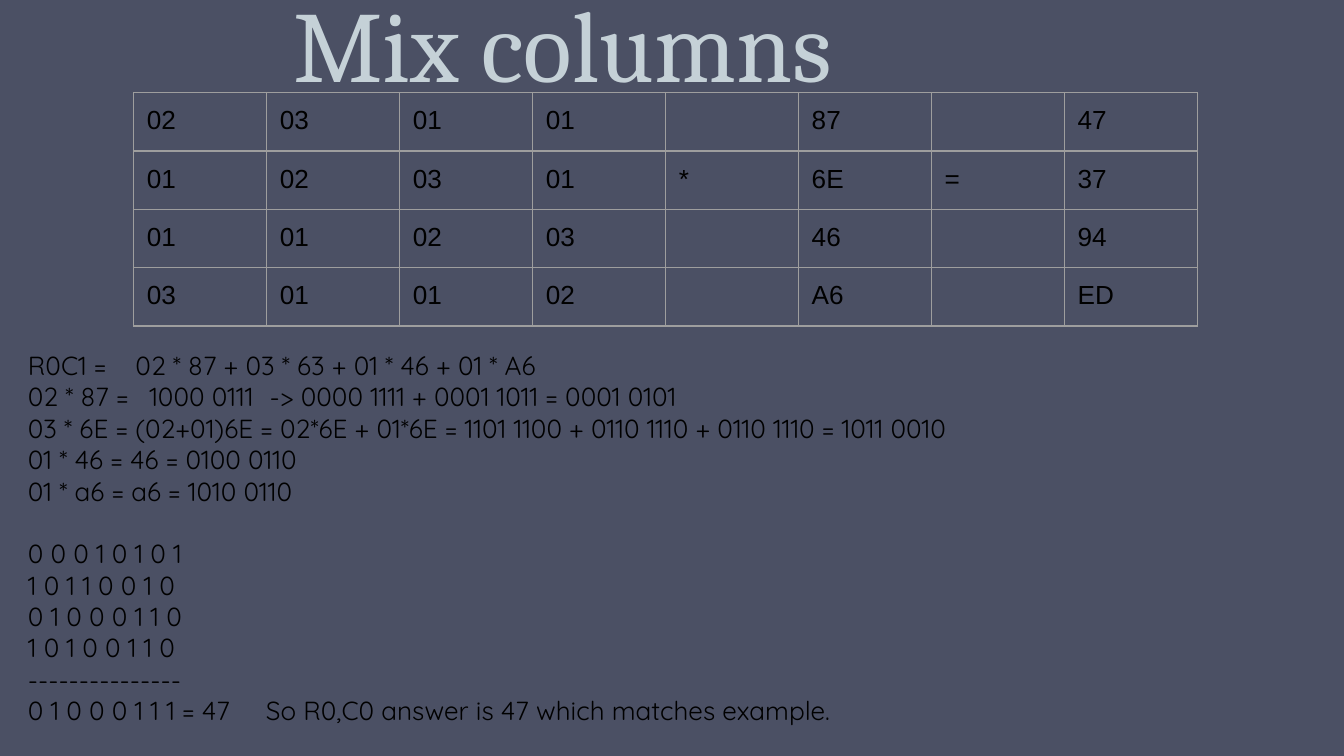
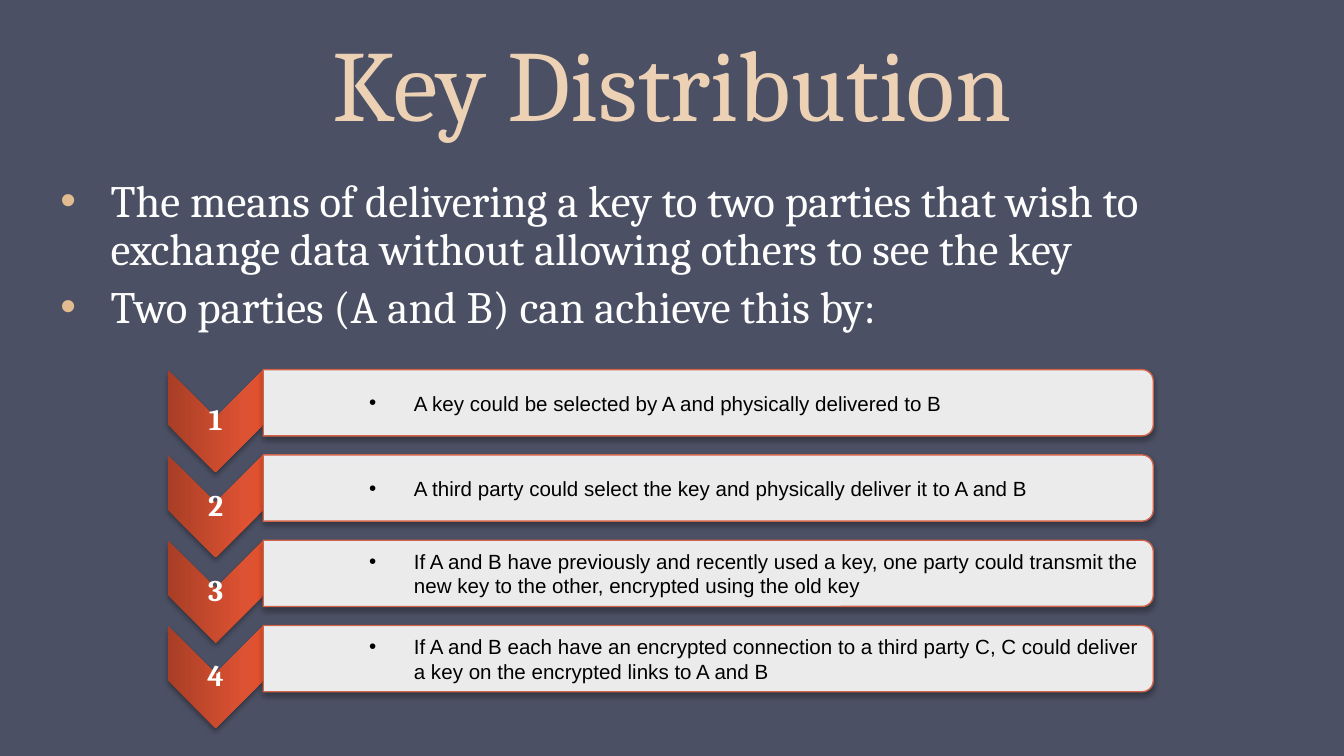
from dataclasses import dataclass
from typing import Any, Optional

from lxml import etree
from pptx import Presentation
from pptx import util as u
from pptx.dml import color
from pptx.enum import shapes, text
from pptx.oxml import ns

SLATE, MIST, SAND, TAN = "4B5064", "C5D1D7", "ECD1B5", "E3BB91"
BLACK, WHITE, IVORY, GRID, RUST = "000000", "FFFFFF", "FEFEFE", "9E9E9E", "D16349"
CHEVRON_STOPS = ((0, "A83E25"), (80, "DD5232"), (100, "E2512E"))
PITCH = 45.7


@dataclass(frozen=True)
class Style:
    """Type settings of a paragraph."""

    font: str
    size: float
    colour: str
    bold: bool = False
    centred: bool = False
    line: Optional[float] = None
    bullet: Optional[str] = None
    indent: float = 0
    hanging: float = 0


@dataclass(frozen=True)
class Frame:
    """Place of an element, in points."""

    left: float
    top: float
    width: float
    height: float

    def lengths(self) -> list[u.Length]:
        """Return left, top, width and height as lengths."""
        return [u.Pt(v) for v in (self.left, self.top, self.width, self.height)]


@dataclass(frozen=True)
class Line:
    """One paragraph with the space before it and its tab stops."""

    words: str
    before: float = 0
    tabs: tuple[float, ...] = ()


@dataclass(frozen=True)
class Step:
    """A numbered way of delivering the key."""

    number: int
    words: str


BODY_INSETS = (7.2, 3.6, 7.2, 3.6)
WIDE_INSETS = (7.2, 7.2, 7.2, 7.2)
CELL = Style("Arial", 14, BLACK)
WORKING = Style("Quicksand", 14, BLACK)
POINT = Style("Cambria", 24, IVORY, line=0.9, bullet=TAN, indent=27, hanging=27)
NUMBER = Style("Cambria", 16, WHITE, bold=True, centred=True, line=0.9)
STEP = Style("Arial", 11, BLACK, bullet=BLACK, indent=72, hanging=24)

MATRIX = (
    ("02", "03", "01", "01", "", "87", "", "47"),
    ("01", "02", "03", "01", "*", "6E", "=", "37"),
    ("01", "01", "02", "03", "", "46", "", "94"),
    ("03", "01", "01", "02", "", "A6", "", "ED"),
)
WORKINGS = [
    Line("R0C1 =\t02 * 87 + 03 * 63 + 01 * 46 + 01 * A6", tabs=(57.6,)),
    Line("02 * 87 =\t1000 0111\t-> 0000 1111 + 0001 1011 = 0001 0101", tabs=(65, 129.5)),
    Line("03 * 6E = (02+01)6E = 02*6E + 01*6E = 1101 1100 + 0110 1110 + 0110 1110 = 1011 0010"),
    Line("01 * 46 = 46 = 0100 0110"),
    Line("01 * a6 = a6 = 1010 0110"),
    Line("0 0 0 1 0 1 0 1", before=16.8),
    Line("1 0 1 1 0 0 1 0"),
    Line("0 1 0 0 0 1 1 0"),
    Line("1 0 1 0 0 1 1 0"),
    Line("---------------"),
    Line("0 1 0 0 0 1 1 1 = 47\tSo R0,C0 answer is 47 which matches example.", tabs=(127.5,)),
]
POINTS = [
    Line("The means of delivering a key to two parties that wish to exchange data "
         "without allowing others to see the key"),
    Line("Two parties (A and B) can achieve this by:", before=4.8),
]
STEPS = [
    Step(1, "A key could be selected by A and physically delivered to B"),
    Step(2, "A third party could select the key and physically deliver it to A and B"),
    Step(3, "If A and B have previously and recently used a key, one party could transmit "
            "the new key to the other, encrypted using the old key"),
    Step(4, "If A and B each have an encrypted connection to a third party C, C could deliver "
            "a key on the encrypted links to A and B"),
]


def rgb(value: str) -> color.RGBColor:
    """Turn a hex string into a colour."""
    return color.RGBColor.from_string(value)


def add_xml(parent: Any, tag: str, **attributes: Any) -> Any:
    """Append a DrawingML element and return it."""
    values = {key: str(value) for key, value in attributes.items()}
    return etree.SubElement(parent, ns.qn(f"a:{tag}"), values)


def centred(x: float, y: float, width: float, height: float) -> Frame:
    """Return a frame around a centre."""
    return Frame(x - width / 2, y - height / 2, width, height)


def write(para: Any, line: Line, style: Style) -> None:
    """Fill a paragraph with one styled run."""
    if style.centred:
        para.alignment = text.PP_ALIGN.CENTER
    if style.line:
        para.line_spacing = style.line
    if line.before:
        para.space_before = u.Pt(line.before)
    properties = para._p.get_or_add_pPr()
    if style.bullet:
        properties.set("marL", str(u.Pt(style.indent)))
        properties.set("indent", str(-u.Pt(style.hanging)))
        add_xml(add_xml(properties, "buClr"), "srgbClr", val=style.bullet)
        add_xml(properties, "buFont", typeface="Arial")
        add_xml(properties, "buChar", char="•")
    if line.tabs:
        stops = add_xml(properties, "tabLst")
        for stop in line.tabs:
            add_xml(stops, "tab", pos=u.Pt(stop), algn="l")
    span = para.add_run()
    span.text = line.words
    span.font.name = style.font
    span.font.size = u.Pt(style.size)
    span.font.bold = style.bold
    span.font.color.rgb = rgb(style.colour)


def add_text(page: Any, frame: Frame, lines: list[Line], style: Style,
             insets: tuple[float, ...], anchor: Any = text.MSO_ANCHOR.TOP) -> None:
    """Add a wrapping text box."""
    body = page.shapes.add_textbox(*frame.lengths()).text_frame
    body.word_wrap = True
    body.vertical_anchor = anchor
    body.margin_left, body.margin_top, body.margin_right, body.margin_bottom = map(u.Pt, insets)
    for index, line in enumerate(lines):
        write(body.add_paragraph() if index else body.paragraphs[0], line, style)


def add_page(deck: Any, title: str, frame: Frame, colour: str) -> Any:
    """Add a slate page with its large title."""
    page = deck.slides.add_slide(deck.slide_layouts[6])
    page.background.fill.solid()
    page.background.fill.fore_color.rgb = rgb(SLATE)
    style = Style("Cambria", 54, colour, centred=True, line=1.07)
    add_text(page, frame, [Line(title)], style, BODY_INSETS, text.MSO_ANCHOR.BOTTOM)
    return page


def add_matrix(page: Any, frame: Frame) -> None:
    """Add the matrix product as a ruled table."""
    rows, columns = len(MATRIX), len(MATRIX[0])
    table = page.shapes.add_table(rows, columns, *frame.lengths()).table
    table.first_row = table.horz_banding = False
    for row, values in enumerate(MATRIX):
        for column, value in enumerate(values):
            cell = table.cell(row, column)
            cell.margin_left = cell.margin_right = u.Pt(7.2)
            cell.margin_top = cell.margin_bottom = u.Pt(7.2)
            for side in "LRTB":
                border = add_xml(cell._tc.get_or_add_tcPr(), f"ln{side}", w=u.Pt(0.75))
                add_xml(add_xml(border, "solidFill"), "srgbClr", val=GRID)
            cell.fill.background()
            para = cell.text_frame.paragraphs[0]
            if value:
                write(para, Line(value), CELL)
            else:
                add_xml(para._p, "endParaRPr", sz=CELL.size * 100)


def add_turned(page: Any, kind: Any, frame: Frame, adjustments: tuple[float, ...]) -> Any:
    """Add a shape turned by a quarter, with a soft shadow below."""
    shape = page.shapes.add_shape(kind, *frame.lengths())
    shape.rotation = 90
    for index, value in enumerate(adjustments):
        shape.adjustments[index] = value
    shape.shadow.inherit = False
    effects = shape._element.spPr.find(ns.qn("a:effectLst"))
    shadow = add_xml(effects, "outerShdw", blurRad=u.Pt(3.1), dist=u.Pt(1.8),
                     dir=5400000, rotWithShape=0)
    add_xml(add_xml(shadow, "srgbClr", val=BLACK), "alpha", val=35000)
    return shape


def add_chevron(page: Any, frame: Frame) -> None:
    """Add a downward chevron that brightens to the right."""
    chevron = add_turned(page, shapes.MSO_SHAPE.CHEVRON, frame, (0.5,))
    chevron.line.fill.background()
    chevron.fill.gradient()
    gradient = chevron._element.spPr.find(ns.qn("a:gradFill"))
    gradient.clear()
    gradient.set("rotWithShape", "1")
    stops = add_xml(gradient, "gsLst")
    for position, colour in CHEVRON_STOPS:
        add_xml(add_xml(stops, "gs", pos=position * 1000), "srgbClr", val=colour)
    add_xml(gradient, "lin", ang=16200000, scaled=0)


def add_bar(page: Any, frame: Frame) -> None:
    """Add a pale bar rounded at its right end."""
    bar = add_turned(page, shapes.MSO_SHAPE.ROUND_2_SAME_RECTANGLE, frame, (0.167, 0))
    bar.fill.solid()
    bar.fill.fore_color.rgb = rgb(WHITE)
    fill = bar._element.spPr.find(ns.qn("a:solidFill"))
    add_xml(fill[0], "alpha", val=90000)
    bar.line.color.rgb = rgb(RUST)
    bar.line.width = u.Pt(0.75)


def add_step(page: Any, step: Step) -> None:
    """Add one row of the step list."""
    shift = (step.number - 1) * PITCH
    chevron_y, bar_y = 225.6 + shift, 215.8 + shift
    middle = text.MSO_ANCHOR.MIDDLE
    add_chevron(page, centred(115.5, chevron_y, 54.7, 51))
    add_text(page, centred(115.5, chevron_y, 51, 16.6), [Line(str(step.number))], NUMBER,
             (0.7, 0.7, 0.7, 0.7), middle)
    add_bar(page, centred(379.4, bar_y, 35.5, 476.8))
    add_text(page, centred(378.4, bar_y, 474.5, 32.4), [Line(step.words)], STEP,
             (8.6, 0.7, 0.7, 0.7), middle)


def main() -> None:
    """Build and save the deck."""
    deck = Presentation()
    deck.slide_width, deck.slide_height = u.Pt(720), u.Pt(405)

    page = add_page(deck, "Mix columns ", Frame(-16.6, -36, 648, 94.3), MIST)
    add_matrix(page, Frame(71.5, 49.7, 570, 120.8))
    add_text(page, Frame(7.9, 180, 700.6, 218), WORKINGS, WORKING, WIDE_INSETS)

    page = add_page(deck, "Key Distribution", Frame(36, 0, 648, 79.2), SAND)
    add_text(page, Frame(25.2, 92.2, 678.2, 94.3), POINTS, POINT, BODY_INSETS)
    for step in STEPS:
        add_step(page, step)

    deck.save("out.pptx")


if __name__ == "__main__":
    main()
